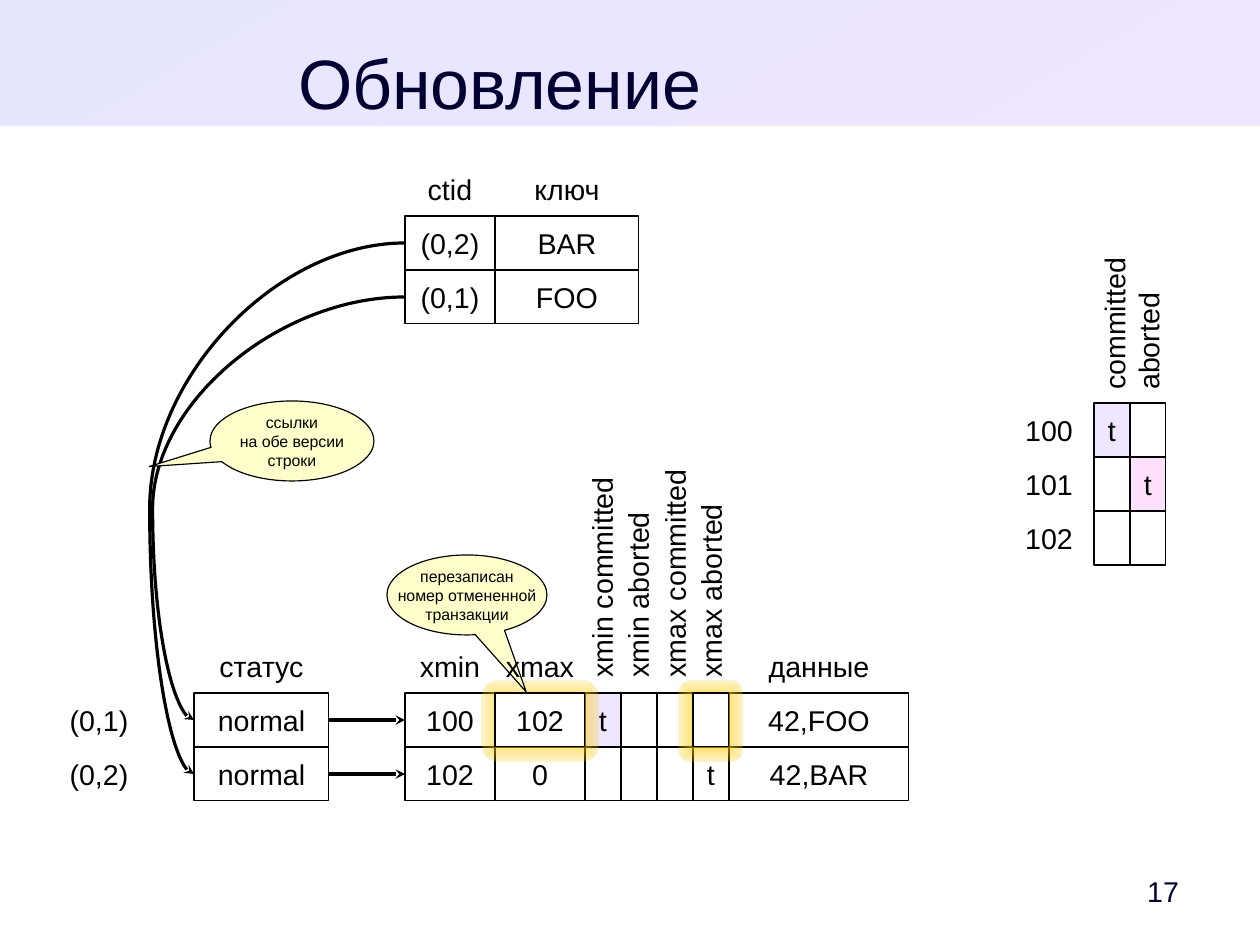
from lxml import etree
from pptx import Presentation
from pptx import util as u
from pptx.dml.color import RGBColor
from pptx.enum import shapes as kinds, text as modes
from pptx.oxml import ns, parse_xml

SCALE = 8000
BLACK = RGBColor(0, 0, 0)
WHITE = RGBColor(255, 255, 255)
NAVY = RGBColor(0, 0, 0x33)
BLUE = RGBColor(0xE6, 0xE6, 0xFF)
LILAC = RGBColor(0xF0, 0xE6, 0xFF)
PINK = RGBColor(0xFF, 0xE1, 0xFF)
CREAM = RGBColor(0xFF, 0xFF, 0xCC)
GOLD = RGBColor(0xFF, 0xCC, 0)
FORM = kinds.MSO_SHAPE
ALIGN = modes.PP_ALIGN
HIGH = 54
WIDE = 90
BIT = 36
LEFT, MID, KEY, FLAG = 194, 405, 495, 585
TOP, HEAD = 693, 639


def px(*vals):
    return [u.Emu(v * SCALE) for v in vals]


def write(shape, words, size=18, hue=BLACK, align=ALIGN.CENTER, wrap=False):
    frame = shape.text_frame
    frame.text = words
    frame.word_wrap = wrap
    frame.vertical_anchor = modes.MSO_ANCHOR.MIDDLE
    for line in frame.paragraphs:
        line.alignment = align
        for run in line.runs:
            run.font.name = "Arial"
            run.font.size = u.Pt(size)
            run.font.color.rgb = hue
    return frame


def block(slide, form, box, fill=None, edge=False):
    shape = slide.shapes.add_shape(form, *px(*box))
    shape.shadow.inherit = False
    if fill is not None:
        shape.fill.solid()
        shape.fill.fore_color.rgb = fill
    if edge:
        shape.line.color.rgb = BLACK
        shape.line.width = 0
    else:
        shape.line.fill.background()
    return shape


def blend(shape, first, last):
    shape.fill.gradient()
    for stop, hue in zip(shape.fill.gradient_stops, (first, last)):
        stop.color.rgb = hue


def cell(slide, box, words="", fill=WHITE, edge=True):
    shape = block(slide, FORM.RECTANGLE, box, fill, edge)
    if words:
        write(shape, words)
    return shape


def label(slide, x, y, wide, words):
    return cell(slide, (x, y, wide, HIGH), words, edge=False)


def row(slide, x, y, widths, words, fills):
    cells = []
    for i, (wide, word) in enumerate(zip(widths, words)):
        if word is not None:
            cells.append(cell(slide, (x, y, wide, HIGH), word, fills.get(i, WHITE)))
        x += wide
    return cells


def tag(slide, x, y, long, words):
    shape = block(slide, FORM.RECTANGLE, (x - long // 2, y - BIT // 2, long, BIT), WHITE)
    shape.rotation = 270
    write(shape, words, align=ALIGN.LEFT)


def glow(slide, box, bend):
    shape = block(slide, FORM.ROUNDED_RECTANGLE, box)
    shape.adjustments[0] = bend
    blend(shape, GOLD, GOLD)
    grad = shape.element.spPr.find(ns.qn("a:gradFill"))
    hues = grad.findall(".//" + ns.qn("a:srgbClr"))
    etree.SubElement(hues[-1], ns.qn("a:alpha"), val="20000")
    grad.replace(grad.find(ns.qn("a:lin")), parse_xml(
        f'<a:path {ns.nsdecls("a")} path="rect">'
        '<a:fillToRect l="50000" t="50000" r="50000" b="50000"/></a:path>'))


def bubble(slide, box, tip, words):
    shape = block(slide, FORM.OVAL_CALLOUT, box, CREAM, True)
    for i, part in enumerate(tip):
        shape.adjustments[i] = part
    write(shape, words, 10)


def arrow(slide, kind, ends):
    link = slide.shapes.add_connector(kind, *px(*ends))
    link.line.color.rgb = BLACK
    link.line.width = 0
    etree.SubElement(link.line._get_or_add_ln(), ns.qn("a:tailEnd"), type="stealth")
    etree.SubElement(link.element.spPr, ns.qn("a:effectLst"))
    return link


def join(slide, start, end):
    link = arrow(slide, kinds.MSO_CONNECTOR.STRAIGHT, (0, 0, 0, 0))
    link.begin_connect(start, 3)
    link.end_connect(end, 1)


def curve(slide, ends, bend):
    link = arrow(slide, kinds.MSO_CONNECTOR.CURVE, ends)
    geom = link.element.spPr.find(ns.qn("a:prstGeom"))
    marks = geom.find(ns.qn("a:avLst"))
    if marks is None:
        marks = etree.SubElement(geom, ns.qn("a:avLst"))
    etree.SubElement(marks, ns.qn("a:gd"), name="adj1", fmla=f"val {bend}")


def note(slide, box, words, size):
    shape = slide.shapes.add_textbox(*px(*box))
    return write(shape, words, size, NAVY, wrap=True)


def header(slide):
    band = block(slide, FORM.RECTANGLE, (0, 0, 1260, 126))
    blend(band, BLUE, LILAC)
    band.fill.gradient_angle = 300
    title = note(slide, (54, 33, 892, 79), "Обновление", 44)
    title.vertical_anchor = modes.MSO_ANCHOR.TOP
    title.margin_left = title.margin_right = title.margin_bottom = 0
    title.margin_top = px(7)[0]
    note(slide, (1108, 864, 99, HIGH), "17", 18).margin_right = 0


def index(slide):
    label(slide, MID, 162, WIDE, "ctid")
    label(slide, KEY, 162, 144, "ключ")
    for i, words in enumerate((("(0,2)", "BAR"), ("(0,1)", "FOO"))):
        row(slide, MID, 216 + i * HIGH, (WIDE, 144), words, {})


def status(slide):
    tags = ("committed", "aborted")
    for i, words in enumerate(tags):
        tag(slide, 1114 + i * 34, 326, 150, words)
    rows = (("100", ("t", ""), {0: LILAC}),
            ("101", ("", "t"), {1: PINK}),
            ("102", ("", ""), {}))
    for i, (name, words, fills) in enumerate(rows):
        y = 403 + i * HIGH
        label(slide, 1004, y, WIDE, name)
        row(slide, 1094, y, (BIT, BIT), words, fills)


def heap(slide):
    tags = ("xmin committed", "xmin aborted", "xmax committed", "xmax aborted")
    for i, words in enumerate(tags):
        tag(slide, 601 + i * 73 // 2, 569, 239, words)
    label(slide, LEFT, HEAD, 135, "статус")
    label(slide, MID, HEAD, WIDE, "xmin")
    label(slide, FLAG + 4 * BIT, HEAD, 180, "данные")
    widths = (WIDE, WIDE, BIT, BIT, BIT, BIT, 180)
    rows = (("(0,1)", ("100", None, "t", "", "", None, "42,FOO"), {2: LILAC}),
            ("(0,2)", ("102", "0", "", "", "", "t", "42,BAR"), {}))
    for i, (name, words, fills) in enumerate(rows):
        y = TOP + i * HIGH
        label(slide, 54, y, WIDE, name)
        state = cell(slide, (LEFT, y, 135, HIGH), "normal")
        join(slide, state, row(slide, MID, y, widths, words, fills)[0])


def changes(slide):
    flag = FLAG + 3 * BIT
    glow(slide, (flag - 14, 681, 63, 81), 0.21)
    glow(slide, (482, 681, 117, 81), 0.22)
    cell(slide, (KEY, TOP, WIDE, HIGH), "102")
    bubble(slide, (387, 555, 160, 80), (0.37, 1.21),
           "перезаписан\nномер отмененной\nтранзакции")
    cell(slide, (flag, TOP, BIT, HIGH))
    label(slide, KEY, HEAD, WIDE, "xmax").fill.background()


def main():
    deck = Presentation()
    deck.slide_width, deck.slide_height = px(1260, 945)
    slide = deck.slides.add_slide(deck.slide_layouts[6])
    header(slide)
    index(slide)
    status(slide)
    heap(slide)
    curve(slide, (MID, 297, LEFT, 720), 119600)
    curve(slide, (MID, 243, LEFT, 774), 121000)
    changes(slide)
    bubble(slide, (210, 401, 164, 80), (-0.87, 0.32),
           "ссылки\nна обе версии\nстроки")
    deck.save("out.pptx")


if __name__ == "__main__":
    main()
